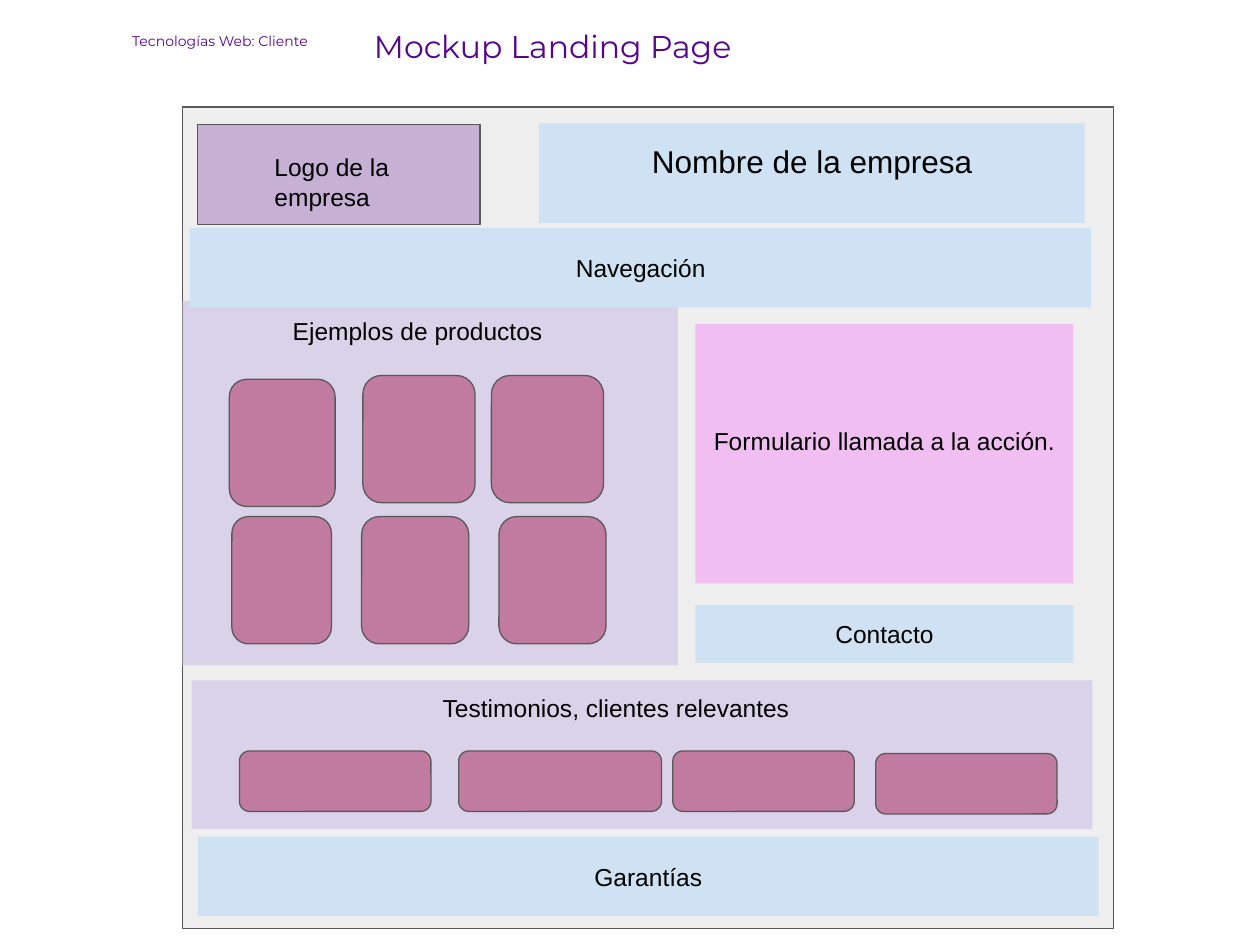
"""Build the landing page mockup slide."""
from lxml.etree import SubElement
from pptx import Presentation
from pptx.dml.color import RGBColor
from pptx.enum.shapes import MSO_SHAPE
from pptx.enum.text import MSO_ANCHOR, PP_ALIGN
from pptx.oxml.ns import qn
from pptx.util import Pt

EMU_PER_PX = 9144
SLIDE_SIZE = (1000, 750)
INSET = 10

COLORS = {
    "title": "57068C",
    "text": "000000",
    "page": "EEEEEE",
    "outline": "595959",
    "logo": "57068C",
    "bar": "CFE2F3",
    "panel": "D9D2E9",
    "card": "C27BA0",
    "form": "FF00FF",
}

HEADINGS = [
    ("Tecnologías Web: Cliente", (95, 19, 378, 39), {"size": 8}),
    ("Mockup Landing Page", (287, 7, 414, 63), {"size": 18, "spacing": 1.15}),
]

BLOCKS = [
    ((145, 85, 739, 652), "page", {"outlined": True}),
    ((157, 99, 224, 79), "logo", {"outlined": True, "opacity": 26}),
    ((157, 664, 715, 63), "bar", {}),
    ((145, 239, 393, 289), "panel", {}),
    ((428, 98, 433, 79), "bar", {}),
    ((552, 257, 300, 206), "form", {"opacity": 20}),
    ((152, 540, 715, 118), "panel", {}),
    ((151, 181, 715, 63), "bar", {}),
    ((552, 480, 300, 46), "bar", {}),
]

PRODUCT_HEIGHT = 101
PRODUCTS = [
    (182, 301, 84), (288, 298, 89), (390, 298, 89),
    (184, 410, 79), (287, 410, 85), (396, 410, 85),
]
TESTIMONIAL_HEIGHT = 48
TESTIMONIALS = [(190, 596, 152), (364, 596, 161), (534, 596, 144), (695, 598, 144)]

CENTER = {"align": PP_ALIGN.CENTER}
MIDDLE = {"align": PP_ALIGN.CENTER, "anchor": MSO_ANCHOR.MIDDLE}
LABELS = [
    ("Logo de la empresa", (208, 111, 163, 46), {}),
    ("Nombre de la empresa", (428, 98, 433, 79), CENTER | {"size": 18, "spacing": 1.15}),
    ("Navegación", (151, 181, 715, 63), MIDDLE),
    ("Ejemplos de productos", (211, 241, 241, 44), CENTER),
    ("Formulario llamada a la acción.", (552, 257, 300, 186), MIDDLE),
    ("Contacto", (552, 480, 300, 46), MIDDLE),
    ("Testimonios, clientes relevantes", (323, 540, 332, 44), CENTER),
    ("Garantías", (157, 664, 715, 63), MIDDLE),
]


def emu(lengths):
    return [length * EMU_PER_PX for length in lengths]


def rgb(name):
    return RGBColor.from_string(COLORS[name])


def add_block(page, place, color, outlined=False, opacity=None, kind=MSO_SHAPE.RECTANGLE):
    block = page.shapes.add_shape(kind, *emu(place))
    block.shadow.inherit = False
    block.fill.solid()
    block.fill.fore_color.rgb = rgb(color)
    if opacity:
        fill_color = block.fill._xPr.find(qn("a:solidFill"))[0]
        SubElement(fill_color, qn("a:alpha")).set("val", str(opacity * 1000))
    if outlined:
        block.line.color.rgb = rgb("outline")
        block.line.width = Pt(0.75)
    else:
        block.line.fill.background()


def add_text(page, text, place, font="Arial", color="text", size=14,
             align=PP_ALIGN.LEFT, anchor=MSO_ANCHOR.TOP, spacing=1.0):
    frame = page.shapes.add_textbox(*emu(place)).text_frame
    frame_format = {"word_wrap": True, "vertical_anchor": anchor}
    for side in ("left", "top", "right", "bottom"):
        frame_format[f"margin_{side}"] = INSET * EMU_PER_PX
    para = frame.paragraphs[0]
    span = para.add_run()
    span.text = text
    span.font.color.rgb = rgb(color)
    formats = [
        (frame, frame_format),
        (para, {"alignment": align, "line_spacing": spacing}),
        (span.font, {"name": font, "size": Pt(size)}),
    ]
    for target, values in formats:
        for name, value in values.items():
            setattr(target, name, value)


def main():
    deck = Presentation()
    deck.slide_width, deck.slide_height = emu(SLIDE_SIZE)
    page = deck.slides.add_slide(deck.slide_layouts[6])
    for text, place, style in HEADINGS:
        add_text(page, text, place, font="Montserrat", color="title", **style)
    for place, color, style in BLOCKS:
        add_block(page, place, color, **style)
    for cards, height in ((PRODUCTS, PRODUCT_HEIGHT), (TESTIMONIALS, TESTIMONIAL_HEIGHT)):
        for left, top, width in cards:
            add_block(page, (left, top, width, height), "card", outlined=True,
                      kind=MSO_SHAPE.ROUNDED_RECTANGLE)
    for text, place, style in LABELS:
        add_text(page, text, place, **style)
    deck.save("out.pptx")


if __name__ == "__main__":
    main()
